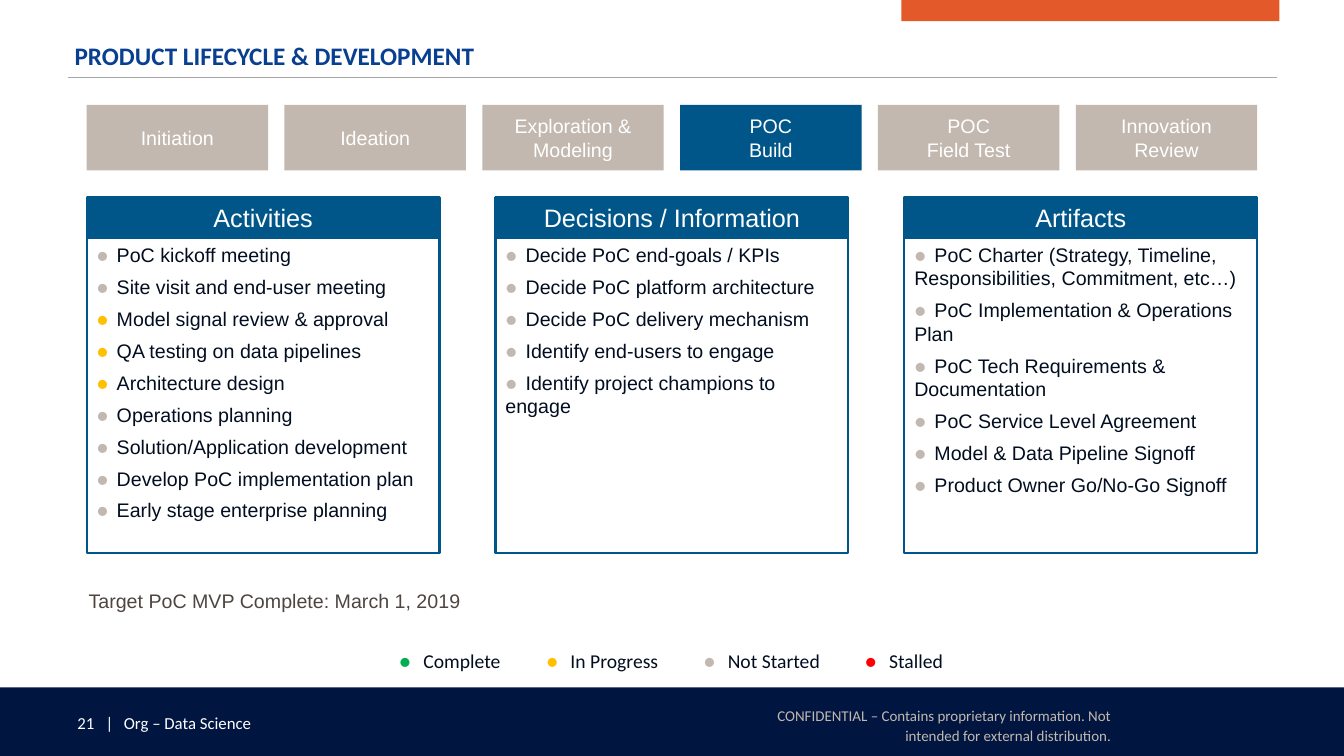
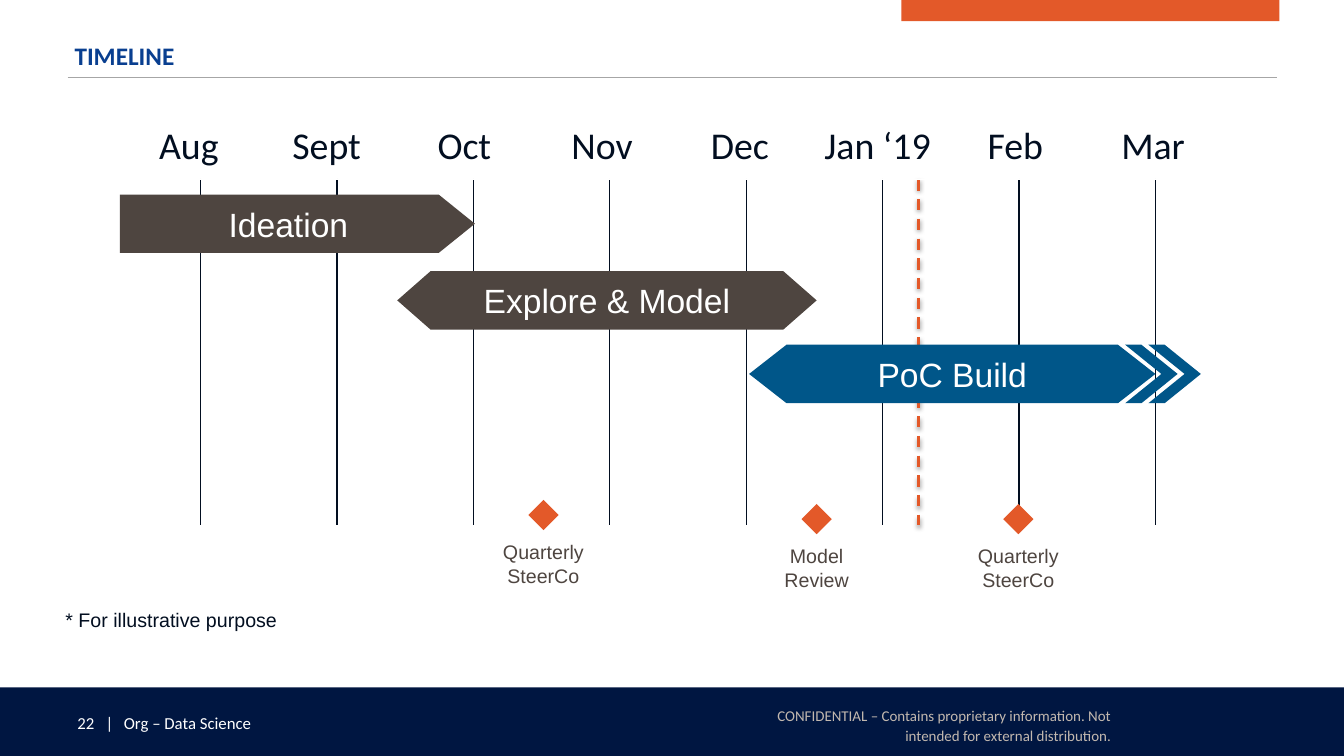
from dataclasses import dataclass

from lxml.etree import SubElement
from pptx import Presentation
from pptx.dml.color import RGBColor
from pptx.enum.dml import MSO_LINE
from pptx.enum.shapes import MSO_CONNECTOR, MSO_SHAPE
from pptx.enum.text import MSO_ANCHOR, PP_ALIGN
from pptx.oxml import parse_xml
from pptx.oxml.ns import nsdecls, qn
from pptx.util import Inches, Pt


@dataclass(frozen=True)
class Theme:
    navy: str = "001641"
    ink: str = "020E20"
    blue: str = "005689"
    head: str = "093F90"
    orange: str = "E35929"
    sand: str = "C2B8AF"
    brown: str = "4E4540"
    rule: str = "A6A6A6"
    white: str = "FFFFFF"
    green: str = "00B050"
    amber: str = "FFC000"
    red: str = "FF0000"
    sans: str = "Arial"
    deck: str = "Calibri"
    month: float = 27
    bar: float = 24
    title: float = 18
    body: float = 14
    foot: float = 12
    small: float = 10.7


T = Theme()
DOT = "●"
LEFT, CENTER, RIGHT = PP_ALIGN.LEFT, PP_ALIGN.CENTER, PP_ALIGN.RIGHT
TOP, MIDDLE = MSO_ANCHOR.TOP, MSO_ANCHOR.MIDDLE
THIN, WIDE = (0.1, 0.05), (0.13, 0.07)
STATES = {"Complete": T.green, "In Progress": T.amber,
          "Not Started": T.sand, "Stalled": T.red}


@dataclass(frozen=True)
class Box:
    x: float
    y: float
    w: float
    h: float

    def place(self):
        return [Inches(v) for v in (self.x, self.y, self.w, self.h)]

    def spread(self, count, width):
        """Split into equal columns of one width with equal gaps."""
        step = (self.w - width) / (count - 1)
        return [Box(self.x + i * step, self.y, width, self.h)
                for i in range(count)]


def apply(target, values):
    for name, value in values.items():
        setattr(target, name, value)


def rgb(code):
    return RGBColor.from_string(code)


def write(frame, lines, size=T.body, font=T.sans, color=T.ink, bold=False,
          align=CENTER, anchor=MIDDLE, pad=THIN, after=0, space=None, tabs=()):
    """Fill a text frame; a line is a string or a list of (text, format) runs."""
    side, edge = Inches(pad[0]), Inches(pad[1])
    apply(frame, {"word_wrap": True, "vertical_anchor": anchor,
                  "margin_left": side, "margin_right": side,
                  "margin_top": edge, "margin_bottom": edge})
    for i, line in enumerate(lines):
        para = frame.add_paragraph() if i else frame.paragraphs[0]
        apply(para, {"alignment": align, "space_after": Pt(after),
                     "line_spacing": space})
        if tabs:
            stops = SubElement(para._p.get_or_add_pPr(), qn("a:tabLst"))
            for stop in tabs:
                SubElement(stops, qn("a:tab"), pos=str(Inches(stop)), algn="l")
        for text, own in [(line, {})] if isinstance(line, str) else line:
            run = para.add_run()
            run.text = text
            apply(run.font, {"size": Pt(size), "bold": bold,
                             "name": own.get("font", font)})
            run.font.color.rgb = rgb(own.get("color", color))


def note(slide, box, lines, **form):
    frame = slide.shapes.add_textbox(*box.place()).text_frame
    write(frame, lines, **{"align": LEFT, "anchor": TOP, **form})


def draw(slide, kind, box, fill, lines=(), edge=None, adjust=None, **form):
    shape = slide.shapes.add_shape(kind, *box.place())
    shape.shadow.inherit = False
    shape.fill.solid()
    shape.fill.fore_color.rgb = rgb(fill)
    if edge:
        shape.line.color.rgb = rgb(edge)
        shape.line.width = Pt(1.5)
    else:
        shape.line.fill.background()
    if adjust:
        shape.adjustments[0] = adjust
    write(shape.text_frame, lines, **{"color": T.white, **form})


def block(slide, box, fill, lines=(), **form):
    draw(slide, MSO_SHAPE.RECTANGLE, box, fill, lines, **form)


def stroke(slide, start, end, color, width, dash=None):
    ends = [Inches(v) for v in (*start, *end)]
    line = slide.shapes.add_connector(MSO_CONNECTOR.STRAIGHT, *ends)
    line.line.color.rgb = rgb(color)
    apply(line.line, {"width": Pt(width), "dash_style": dash})
    return SubElement(line._element.spPr, qn("a:effectLst"))


def grid(slide, box, cols):
    """Add a one-row table without style and return its cells."""
    table = slide.shapes.add_table(1, cols, *box.place()).table
    apply(table, {"first_row": False, "horz_banding": False})
    for col in table.columns:
        col.width = Inches(box.w / cols)
    cells = list(table.rows[0].cells)
    for cell in cells:
        cell.fill.background()
    return cells


def frame(deck, title, page):
    """Start a slide with its band, title, rule and footer."""
    slide = deck.slides.add_slide(deck.slide_layouts[6])
    block(slide, Box(8.94, 0, 3.75, 0.21), T.orange)
    block(slide, Box(0, 6.82, 13.33, 0.68), T.navy)
    note(slide, Box(0.67, 7.02, 4.42, 0.3), [f"{page}\t|\tOrg – Data Science"],
         size=T.foot, font=T.deck, color=T.white, tabs=(0.28, 0.46))
    note(slide, Box(7.4, 6.74, 3.75, 0.9),
         ["CONFIDENTIAL – Contains proprietary information. "
          "Not intended for external distribution."],
         size=T.small, font=T.deck, color=T.sand, align=RIGHT, anchor=MIDDLE,
         pad=WIDE, space=1.1)
    note(slide, Box(0.67, 0.36, 12, 0.4), [title], size=T.title, font=T.deck,
         color=T.head, bold=True, pad=(0.07, 0.04))
    stroke(slide, (0.67, 0.77), (12.67, 0.77), T.rule, 0.75)
    return slide


def stages(slide, box, names, active):
    for name, cell in zip(names, box.spread(len(names), 1.8)):
        fill = T.blue if name == active else T.sand
        block(slide, cell, fill, name.split("\n"))


def panel(slide, box, title, items, busy):
    """Draw a headed list whose dots show the state of each item."""
    top = 0.4
    block(slide, Box(box.x, box.y, box.w, top), T.blue, [title],
          edge=T.blue, size=T.title)
    lines = []
    for item in items:
        state = "In Progress" if item in busy else "Not Started"
        mark = {"font": T.deck, "color": STATES[state]}
        lines.append([(DOT, mark), ("\t" + item, {})])
    block(slide, Box(box.x, box.y + top, box.w, box.h - top), T.white, lines,
          edge=T.blue, color=T.ink, align=LEFT, anchor=TOP, after=6,
          tabs=(0.2,))


def legend(slide, box):
    runs, stops = [], []
    for start, (state, color) in zip((3, 4.46, 6.02, 7.62), STATES.items()):
        runs += [("\t" + DOT, {"color": color}), ("\t" + state, {})]
        stops += [start, start + 0.24]
    note(slide, box, [runs], font=T.deck, after=3, tabs=stops)


def months(slide, box, names):
    for cell, name in zip(grid(slide, box, len(names)), names):
        write(cell.text_frame, [name], size=T.month, font=T.deck)
        apply(cell, {"vertical_anchor": TOP,
                     "margin_left": Inches(WIDE[0]),
                     "margin_right": Inches(WIDE[0]),
                     "margin_top": Inches(WIDE[1]),
                     "margin_bottom": Inches(WIDE[1])})


def columns(slide, box, count):
    """Draw the upright month lines as the side borders of a table."""
    for cell in grid(slide, box, count):
        props = cell._tc.get_or_add_tcPr()
        for i, side in enumerate(("lnL", "lnR")):
            props.insert(i, parse_xml(
                f'<a:{side} {nsdecls("a")} w="{Pt(1)}"><a:solidFill>'
                f'<a:srgbClr val="{T.ink}"/></a:solidFill></a:{side}>'))


def today(slide, x, top, base):
    effects = stroke(slide, (x, top), (x, base), T.orange, 2, MSO_LINE.DASH)
    shade = SubElement(effects, qn("a:outerShdw"), blurRad=str(Pt(3.1)),
                       dist=str(Pt(1.6)), dir="5400000", rotWithShape="0")
    tone = SubElement(shade, qn("a:srgbClr"), val="000000")
    SubElement(tone, qn("a:alpha"), val="38000")


def marker(slide, mid, top, lines):
    draw(slide, MSO_SHAPE.DIAMOND, Box(mid - 0.15, top, 0.3, 0.3), T.orange)
    block(slide, Box(mid - 0.68, top + 0.35, 1.36, 0.59), T.white, lines,
          color=T.brown, anchor=TOP)


def cycle(deck):
    slide = frame(deck, "PRODUCT LIFECYCLE & DEVELOPMENT", 21)
    stages(slide, Box(0.86, 1.04, 11.61, 0.65),
           ["Initiation", "Ideation", "Exploration & Modeling", "POC\nBuild",
            "POC\nField Test", "Innovation\nReview"], "POC\nBuild")
    lists = {
        "Activities": [
            "PoC kickoff meeting", "Site visit and end-user meeting",
            "Model signal review & approval", "QA testing on data pipelines",
            "Architecture design", "Operations planning",
            "Solution/Application development",
            "Develop PoC implementation plan",
            "Early stage enterprise planning"],
        "Decisions / Information": [
            "Decide PoC end-goals / KPIs", "Decide PoC platform architecture",
            "Decide PoC delivery mechanism", "Identify end-users to engage",
            "Identify project champions to engage"],
        "Artifacts": [
            "PoC Charter (Strategy, Timeline, Responsibilities, "
            "Commitment, etc…)",
            "PoC Implementation & Operations Plan",
            "PoC Tech Requirements & Documentation",
            "PoC Service Level Agreement", "Model & Data Pipeline Signoff",
            "Product Owner Go/No-Go Signoff"],
    }
    busy = lists["Activities"][2:5]
    boxes = Box(0.86, 1.96, 11.61, 3.53).spread(len(lists), 3.5)
    for box, (title, items) in zip(boxes, lists.items()):
        panel(slide, box, title, items, busy)
    legend(slide, Box(0.86, 6.39, 11.61, 0.35))
    note(slide, Box(0.78, 5.79, 4.14, 0.4),
         ["Target PoC MVP Complete: March 1, 2019"], color=T.brown)


def timeline(deck):
    slide = frame(deck, "TIMELINE", 22)
    columns(slide, Box(1.99, 1.78, 9.47, 3.42), 7)
    today(slide, 9.11, 1.78, 5.21)
    months(slide, Box(1.19, 1.16, 10.93, 0.62),
           ["Aug", "Sept", "Oct", "Nov", "Dec", "Jan ‘19", "Feb", "Mar"])
    high = 0.58
    for kind, x, y, wide, adjust, fill, name in (
            (MSO_SHAPE.PENTAGON, 1.19, 1.93, 3.52, 0.62, T.brown, "Ideation"),
            (MSO_SHAPE.HEXAGON, 3.94, 2.69, 4.16, 0.57, T.brown,
             "Explore & Model"),
            (MSO_SHAPE.HEXAGON, 7.43, 3.42, 4.03, 0.64, T.blue, "PoC Build")):
        draw(slide, kind, Box(x, y, wide, high), fill, [name],
             adjust=adjust, size=T.bar)
    for x in (11.16, 11.39):
        draw(slide, MSO_SHAPE.CHEVRON, Box(x, 3.42, 0.52, high), T.blue,
             adjust=0.69)
    for mid, top, lines in ((5.39, 4.96, ["Quarterly", "SteerCo"]),
                            (8.1, 5, ["Model", "Review"]),
                            (10.1, 5, ["Quarterly", "SteerCo"])):
        marker(slide, mid, top, lines)
    note(slide, Box(0.55, 5.98, 2.5, 0.34), ["* For illustrative purpose"])


def main():
    deck = Presentation()
    apply(deck, {"slide_width": Inches(13.33), "slide_height": Inches(7.5)})
    cycle(deck)
    timeline(deck)
    deck.save("out.pptx")


if __name__ == "__main__":
    main()
